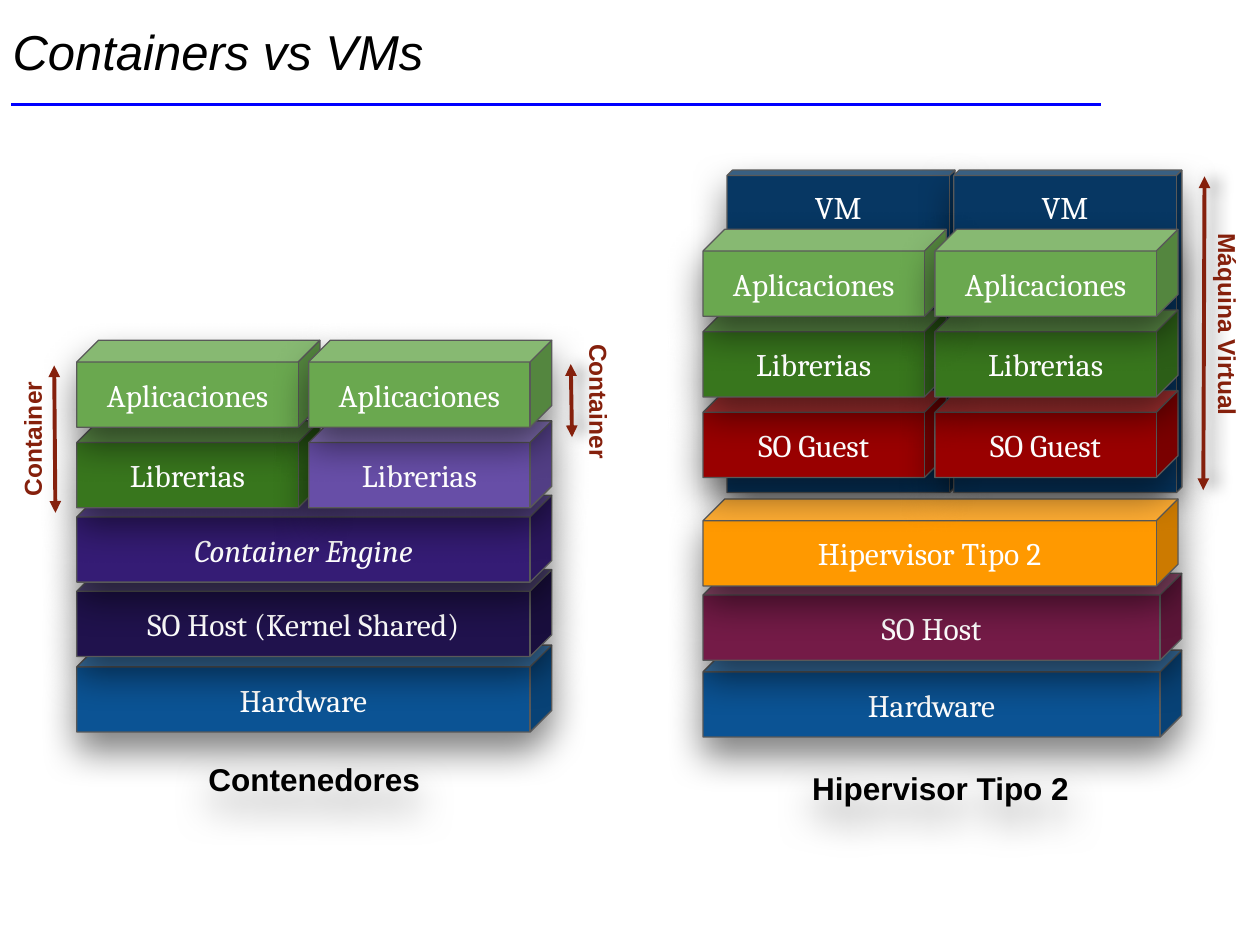
from lxml import etree
from pptx import Presentation
from pptx.dml.color import RGBColor
from pptx.enum import shapes, text
from pptx.oxml import parse_xml
from pptx.oxml.ns import nsdecls, qn
from pptx.util import Inches, Pt

RUST = "85200C"
NAVY = "073763"
BLUE = "0B5394"
GREEN = "38761D"
LIME = "6AA84F"
RED = "990000"
DROP = (21.4, 10.5, 90)
SIDE = (9, 5.2, 0)
ROW = 0.69
WIDE = 3.77
HALF = 1.93
STEP = 1.84


def paint(color, code):
    color.rgb = RGBColor.from_string(code)


def shade(shape, cast=None):
    """Set the shadow as blur, distance and angle, or none at all."""
    inner = ""
    if cast:
        blur, dist, angle = cast
        inner = (
            f'<a:outerShdw blurRad="{Pt(blur)}" dist="{Pt(dist)}" '
            f'dir="{angle * 60000}" algn="bl" rotWithShape="0">'
            '<a:srgbClr val="000000"><a:alpha val="50000"/></a:srgbClr>'
            "</a:outerShdw>"
        )
    shape._element.spPr.append(
        parse_xml(f'<a:effectLst {nsdecls("a")}>{inner}</a:effectLst>')
    )


def write(shape, words, size, face, code, align=text.PP_ALIGN.CENTER,
          anchor=text.MSO_ANCHOR.MIDDLE, bold=False, italic=False):
    frame = shape.text_frame
    frame.word_wrap = True
    frame.vertical_anchor = anchor
    frame.margin_left = frame.margin_right = Inches(0.1)
    frame.margin_top = frame.margin_bottom = Inches(0.1)
    para = frame.paragraphs[0]
    para.text = words
    para.alignment = align
    font = para.font
    font.size, font.name = Pt(size), face
    font.bold, font.italic = bold, italic
    paint(font.color, code)


def add_title(slide, words):
    title = slide.shapes.title
    title.left, title.top = Inches(0), Inches(0.07)
    title.width, title.height = Inches(9.32), Inches(0.83)
    write(title, words, 28, "Arial", "000000", text.PP_ALIGN.LEFT,
          text.MSO_ANCHOR.TOP, italic=True)


def add_cube(slide, words, x, y, wide, code, high=ROW, depth=0.25,
             anchor=text.MSO_ANCHOR.MIDDLE, italic=False):
    cube = slide.shapes.add_shape(
        shapes.MSO_SHAPE.CUBE, Inches(x), Inches(y), Inches(wide), Inches(high)
    )
    cube.adjustments[0] = depth
    cube.fill.solid()
    paint(cube.fill.fore_color, code)
    paint(cube.line.color, "595959")
    cube.line.width = Pt(0.75)
    shade(cube, DROP)
    write(cube, words, 18, "Cambria", "FFFFFF", anchor=anchor, italic=italic)


def add_line(slide, x1, y1, x2, y2, code, width, heads=False, cast=None):
    line = slide.shapes.add_connector(
        shapes.MSO_CONNECTOR.STRAIGHT,
        Inches(x1), Inches(y1), Inches(x2), Inches(y2),
    )
    paint(line.line.color, code)
    line.line.width = Pt(width)
    if heads:
        edge = line._element.spPr.find(qn("a:ln"))
        for end in ("a:headEnd", "a:tailEnd"):
            etree.SubElement(edge, qn(end), type="triangle")
    shade(line, cast)


def add_label(slide, words, x, y, wide, turn):
    box = slide.shapes.add_textbox(
        Inches(x), Inches(y), Inches(wide), Inches(0.29)
    )
    box.rotation = turn
    write(box, words, 14, "Arial", RUST, bold=True)


def add_caption(slide, words, x, y):
    box = slide.shapes.add_textbox(
        Inches(x), Inches(y), Inches(WIDE), Inches(0.53)
    )
    shade(box, DROP)
    write(box, words, 18, "Arial", "000000", anchor=text.MSO_ANCHOR.TOP,
          bold=True)


def draw_containers(slide):
    left = 0.61
    add_caption(slide, "Contenedores", left, 5.93)
    add_cube(slide, "Hardware", left, 5.12, WIDE, BLUE)
    add_cube(slide, "SO Host (Kernel Shared)", left, 4.52, WIDE, "20124D")
    add_cube(slide, "Container Engine", left, 3.93, WIDE, "351C75", italic=True)
    for col, code in enumerate((GREEN, "674EA7")):
        x = left + col * STEP
        add_cube(slide, "Librerias", x, 3.34, HALF, code)
        add_cube(slide, "Aplicaciones", x, 2.7, HALF, LIME)
    add_line(slide, 0.43, 2.9, 0.44, 4.07, RUST, 2.25, True)
    add_line(slide, 4.53, 2.89, 4.54, 3.47, RUST, 2.25, True, SIDE)
    add_label(slide, "Container", -0.34, 3.34, 1.19, 270)
    add_label(slide, "Container", 4.16, 3.04, 1.19, 90)


def draw_machines(slide):
    left = 5.58
    for x in (5.77, 7.57):
        add_cube(slide, "VM", x, 1.35, 1.81, NAVY, 2.56, 0.024,
                 text.MSO_ANCHOR.TOP)
    add_caption(slide, "Hipervisor Tipo 2", left, 6)
    add_cube(slide, "Hardware", left, 5.16, 3.8, BLUE)
    add_cube(slide, "SO Host", left, 4.55, 3.8, "741B47")
    add_cube(slide, "Hipervisor Tipo 2", left, 3.96, WIDE, "FF9900")
    layers = (("SO Guest", RED), ("Librerias", GREEN), ("Aplicaciones", LIME))
    for row, (words, code) in enumerate(layers):
        for col in range(2):
            add_cube(slide, words, left + col * STEP, 3.1 - row * 0.64,
                     HALF, code)
    add_line(slide, 9.56, 1.4, 9.55, 3.89, RUST, 2.25, True, SIDE)
    add_label(slide, "Máquina Virtual", 8.57, 2.43, 2.35, 90)


def main():
    deck = Presentation()
    deck.slide_width, deck.slide_height = Inches(10), Inches(7.5)
    slide = deck.slides.add_slide(deck.slide_layouts[5])
    add_line(slide, 0.09, 0.83, 8.74, 0.83, "0000FF", 1.5)
    add_title(slide, "Containers vs VMs")
    draw_containers(slide)
    draw_machines(slide)
    deck.save("out.pptx")


if __name__ == "__main__":
    main()
